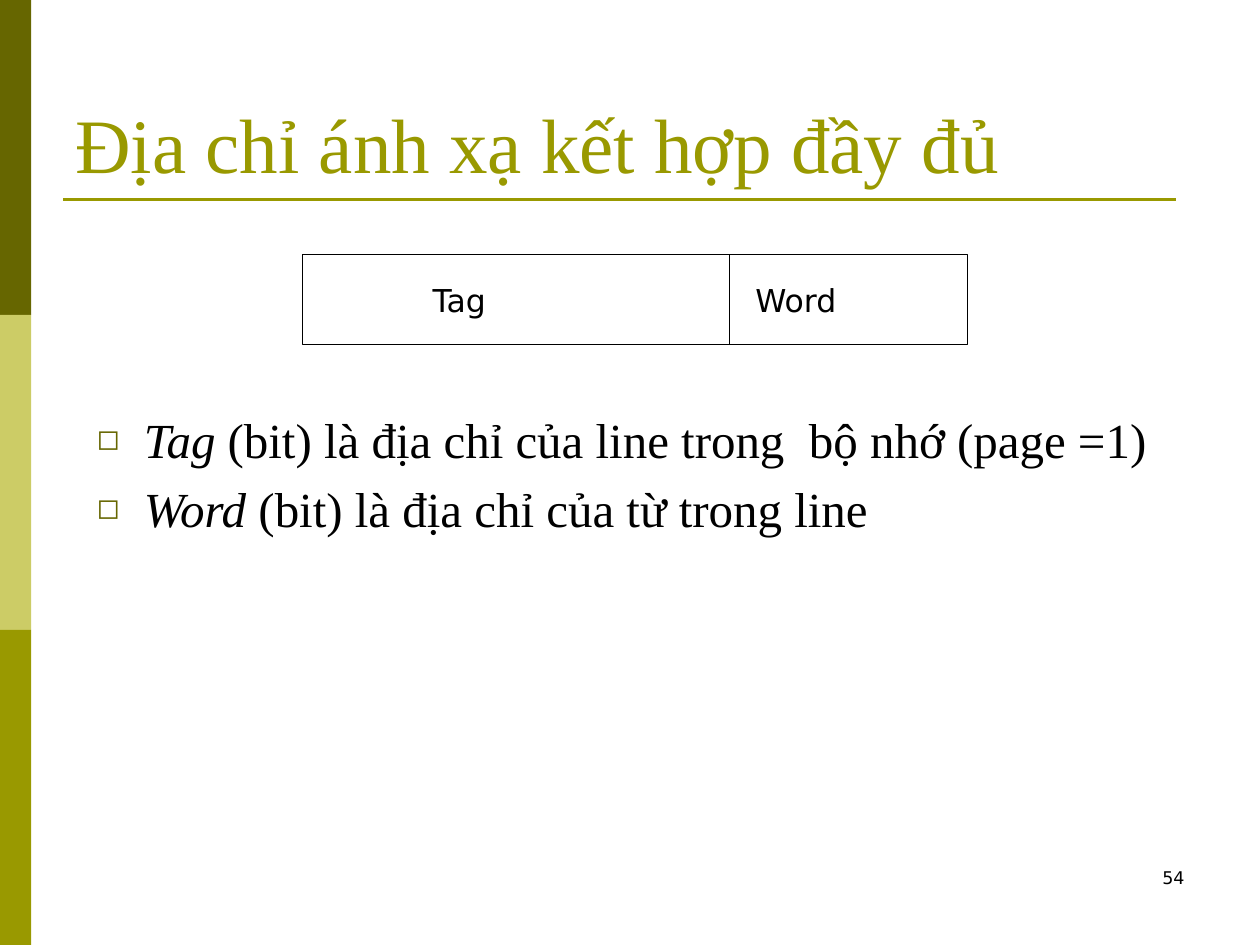
from pptx import Presentation
from pptx.util import Cm, Pt
from pptx.dml.color import RGBColor
from pptx.enum.shapes import MSO_SHAPE as SHAPE, MSO_CONNECTOR as CONN
from pptx.enum.text import PP_ALIGN as ALIGN, MSO_ANCHOR as ANCHOR
from lxml import etree

A = "{http://schemas.openxmlformats.org/drawingml/2006/main}"
SERIF, SANS = "Times New Roman", "DejaVu Sans"
OLIVE, DARK, LIGHT, BLACK = "999900", "666600", "CCCC66", "000000"


def rgb(value):
    return RGBColor.from_string(value)


def add_text(p, text, size, font=SERIF, color=BLACK, italic=False, align=ALIGN.LEFT):
    p.alignment = align
    r = p.add_run()
    r.text = text
    r.font.size = Pt(size)
    r.font.name = font
    r.font.italic = italic
    r.font.color.rgb = rgb(color)


prs = Presentation()
prs.slide_width, prs.slide_height = Cm(25.4), Cm(19.05)
s = prs.slides.add_slide(prs.slide_layouts[6])

# Side bands, three equal parts
for i, color in enumerate([DARK, LIGHT, OLIVE]):
    sp = s.shapes.add_shape(SHAPE.RECTANGLE, 0, Cm(6.35 * i), Cm(0.63), Cm(6.35))
    sp.shadow.inherit = False
    sp.fill.solid()
    sp.fill.fore_color.rgb = rgb(color)
    sp.line.fill.background()

# Address field box, its two labels set by an indent and a tab stop
sp = s.shapes.add_shape(SHAPE.RECTANGLE, Cm(6.1), Cm(5.13), Cm(13.41), Cm(1.82))
sp.shadow.inherit = False
sp.fill.background()
sp.line.color.rgb = rgb(BLACK)
sp.line.width = Pt(0.75)
tf = sp.text_frame
tf.vertical_anchor = ANCHOR.MIDDLE
tf.margin_left = Cm(2.62)
p = tf.paragraphs[0]
add_text(p, "Tag\tWord", 18, SANS)
tabs = etree.SubElement(p._p.get_or_add_pPr(), A + "tabLst")
etree.SubElement(tabs, A + "tab", pos=str(Cm(6.51)), algn="l")

# Title rule and field divider
for x1, y1, x2, y2, color, width in [
    (1.27, 4.02, 23.7, 4.02, OLIVE, 1.5),
    (14.71, 5.13, 14.71, 6.95, BLACK, 0.75),
]:
    line = s.shapes.add_connector(CONN.STRAIGHT, Cm(x1), Cm(y1), Cm(x2), Cm(y2))
    line.line.color.rgb = rgb(color)
    line.line.width = Pt(width)
    etree.SubElement(line._element.spPr, A + "effectLst")

# Title
tf = s.shapes.add_textbox(Cm(1.27), Cm(0.76), Cm(22.86), Cm(3.18)).text_frame
tf.word_wrap = True
tf.vertical_anchor = ANCHOR.BOTTOM
add_text(tf.paragraphs[0], "Địa chỉ ánh xạ kết hợp đầy đủ", 44, color=OLIVE)

# Bullets, pushed below the address field box by the top margin
tf = s.shapes.add_textbox(Cm(1.7), Cm(3.96), Cm(23.32), Cm(13.69)).text_frame
tf.word_wrap = True
tf.margin_top = Cm(4.3)
bullets = [
    ("Tag", " (bit) là địa chỉ của line trong  bộ nhớ (page =1)"),
    ("Word", " (bit) là địa chỉ của từ trong line"),
]
for i, (term, meaning) in enumerate(bullets):
    p = tf.add_paragraph() if i else tf.paragraphs[0]
    p.space_before = Pt(5.6 * i)
    add_text(p, term, 28, italic=True)
    add_text(p, meaning, 28)
    pPr = p._p.get_or_add_pPr()
    pPr.set("marL", str(Cm(0.95)))
    pPr.set("indent", str(Cm(-0.95)))
    bu_color = etree.SubElement(pPr, A + "buClr")
    etree.SubElement(bu_color, A + "srgbClr", val=DARK)
    etree.SubElement(pPr, A + "buSzPct", val="58000")
    etree.SubElement(pPr, A + "buFont", typeface=SANS)
    etree.SubElement(pPr, A + "buChar", char="◻")

# Slide number
tf = s.shapes.add_textbox(Cm(18.2), Cm(17.35), Cm(5.93), Cm(1.27)).text_frame
tf.word_wrap = True
add_text(tf.paragraphs[0], "54", 10, SANS, align=ALIGN.RIGHT)

prs.save("out.pptx")
